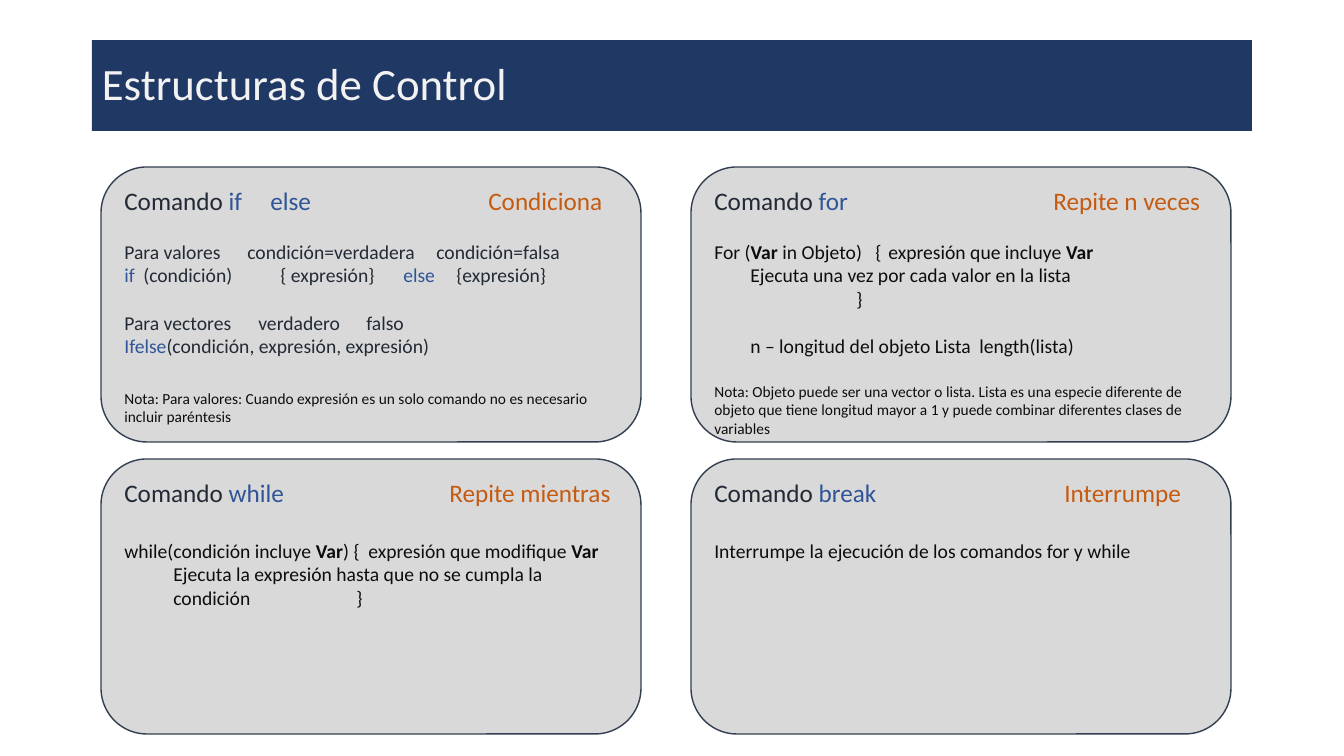
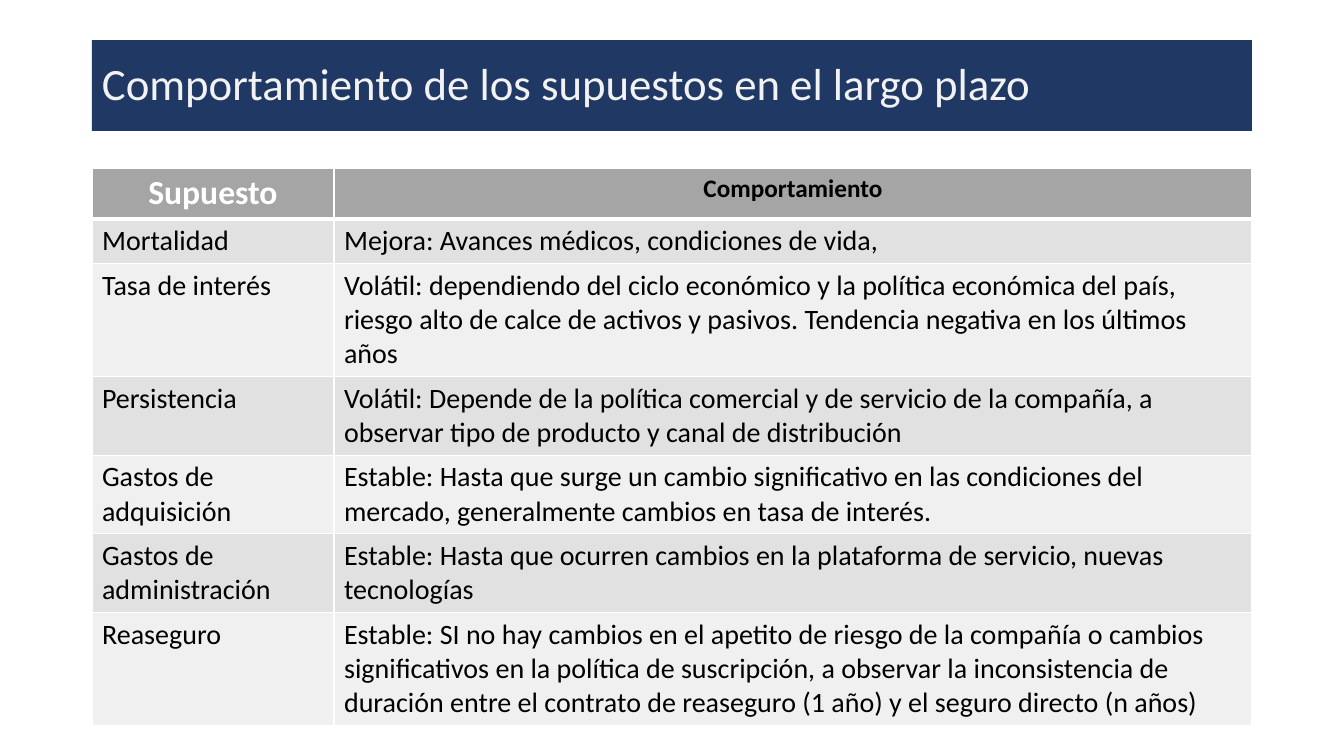
from pptx import Presentation
from pptx.dml.color import RGBColor as RGB
from pptx.enum.shapes import MSO_SHAPE as SHAPE
from pptx.enum.text import MSO_ANCHOR as ANCHOR, PP_ALIGN as ALIGN
from pptx.oxml.ns import qn
from pptx.util import Emu, Pt
from lxml.etree import SubElement

PX = 914400 / 100.8
FONT = "Calibri"
COLORS = {
    "navy": "203864", "title": "F2F2F2", "card": "D9D9D9", "outline": "333F50",
    "slate": "222A35", "blue": "2F5597", "orange": "C55A11", "ink": "0D0D0D",
    "white": "FFFFFF", "black": "000000", "header": "A5A5A5",
    "band": "E1E1E1", "pale": "F0F0F0",
}
GAP_14, GAP_18 = 24, 31


def px(n):
    return Emu(round(n * PX))


def rgb(name):
    return RGB.from_string(COLORS[name])


class Deck:
    def __init__(self):
        self.prs = Presentation()
        self.prs.slide_width, self.prs.slide_height = px(1344), px(756)
        self.s = None

    def slide(self, title):
        self.s = self.prs.slides.add_slide(self.prs.slide_layouts[6])
        tf = self.shape(SHAPE.RECTANGLE, 92, 40, 1160, 91, "navy").text_frame
        tf.vertical_anchor = ANCHOR.MIDDLE
        p = tf.paragraphs[0]
        p.line_spacing = 0.9
        self.fill_text(p, [title], 32, "title")

    def shape(self, kind, x, y, w, h, fill, line=None):
        sp = self.s.shapes.add_shape(kind, px(x), px(y), px(w), px(h))
        sp.shadow.inherit = False
        sp.fill.solid()
        sp.fill.fore_color.rgb = rgb(fill)
        if line:
            sp.line.color.rgb = rgb(line)
            sp.line.width = Pt(1)
        else:
            sp.line.fill.background()
        sp.text_frame.word_wrap = True
        return sp

    def fill_text(self, p, runs, size, color, bold=False, align=ALIGN.LEFT, gap=0, tabs=()):
        p.alignment = align
        p.space_before = px(gap)
        if tabs:
            tab_list = SubElement(p._p.get_or_add_pPr(), qn("a:tabLst"))
            for pos in tabs:
                SubElement(tab_list, qn("a:tab"), pos=str(px(pos)), algn="l")
        p.font.name, p.font.size, p.font.bold = FONT, Pt(size), bold
        p.font.color.rgb = rgb(color)
        for item in runs:
            text, look = (item, None) if isinstance(item, str) else item
            r = p.add_run()
            r.text = text
            if look == "bold":
                r.font.bold = True
            elif look:
                r.font.color.rgb = rgb(look)

    def card(self, x, y, command, action, tabs, lines):
        sp = self.shape(SHAPE.ROUNDED_RECTANGLE, x, y, 540, 275, "card", "outline")
        tf = sp.text_frame
        tf.vertical_anchor = ANCHOR.TOP
        heading = ["Comando ", (command + "\t", "blue"), (action, "orange")]
        self.fill_text(tf.paragraphs[0], heading, 18, "slate", tabs=tabs)
        for runs, size, color, gap, stops in lines:
            self.fill_text(tf.add_paragraph(), runs, size, color, gap=gap, tabs=stops)

    def cell(self, cell, text, size, color, fill, bold=False, align=ALIGN.LEFT, bottom=1):
        self.fill_text(cell.text_frame.paragraphs[0], [text], size, color, bold, align)
        tc_pr = cell._tc.get_or_add_tcPr()
        for side, width in zip("LRTB", (1, 1, 1, bottom)):
            ln = SubElement(tc_pr, qn(f"a:ln{side}"), w=str(Pt(width)))
            solid = SubElement(ln, qn("a:solidFill"))
            SubElement(solid, qn("a:srgbClr"), val=COLORS["white"])
        cell.fill.solid()
        cell.fill.fore_color.rgb = rgb(fill)

    def table(self, x, y, widths, headers, rows):
        heights = [50] + [10 + 34 * lines for lines, *_ in rows]
        frame = self.s.shapes.add_table(len(heights), len(widths), px(x), px(y),
                                        px(sum(widths)), px(sum(heights)))
        table = frame.table
        table.horz_banding = False
        for column, width in zip(table.columns, widths):
            column.width = px(width)
        for row, height in zip(table.rows, heights):
            row.height = px(height)
        for j, (text, size, color) in enumerate(headers):
            self.cell(table.cell(0, j), text, size, color, "header", True, ALIGN.CENTER, 3)
        for i, (_, *texts) in enumerate(rows, 1):
            fill = "band" if i % 2 else "pale"
            for j, text in enumerate(texts):
                self.cell(table.cell(i, j), text, 20, "black", fill)


CARDS = [
    ("if\telse", "Condiciona", (146, 364), [
        (["Para valores\tcondición=verdadera\tcondición=falsa"],
         14, "slate", GAP_14, (123, 312)),
        ([("if", "blue"), "\t(condición)\t{ expresión}\t", ("else", "blue"), "\t{expresión}"],
         14, "slate", 0, (19, 156, 279, 332)),
        (["Para vectores\tverdadero\tfalso"], 14, "slate", GAP_14, (134, 242)),
        ([("Ifelse", "blue"), "(condición, expresión, expresión)"], 14, "slate", 0, ()),
        (["Nota: Para valores: Cuando expresión es un solo comando no es necesario "
          "incluir paréntesis"], 11, "ink", GAP_18, ()),
    ]),
    ("for", "Repite n veces", (339,), [
        (["For (", ("Var", "bold"), " in Objeto)\t{\texpresión que incluye ", ("Var", "bold")],
         14, "ink", GAP_14, (161, 174)),
        (["\tEjecuta una vez por cada valor en la lista"], 14, "ink", 0, (36,)),
        (["\t}"], 14, "ink", 0, (142,)),
        (["\tn – longitud del objeto Lista\tlength(lista)"], 14, "ink", GAP_14, (36, 265)),
        (["Nota: Objeto puede ser una vector o lista. Lista es una especie diferente de "
          "objeto que tiene longitud mayor a 1 y puede combinar diferentes clases de "
          "variables"], 11, "ink", GAP_14, ()),
    ]),
    ("while", "Repite mientras", (325,), [
        (["while(condición incluye ", ("Var", "bold"), ") {\texpresión que modifique ",
          ("Var", "bold")], 14, "ink", GAP_18, (244,)),
        (["\tEjecuta la expresión hasta que no se cumpla la"], 14, "ink", 0, (49,)),
        (["\tcondición\t}"], 14, "ink", 0, (49, 232)),
    ]),
    ("break", "Interrumpe", (350,), [
        (["Interrumpe la ejecución de los comandos for y while"], 14, "ink", GAP_18, ()),
    ]),
]

HEADERS = [("Supuesto", 24, "white"), ("Comportamiento", 18, "black")]
ASSUMPTIONS = [
    (1, "Mortalidad", "Mejora: Avances médicos, condiciones de vida,"),
    (3, "Tasa de interés",
     "Volátil: dependiendo del ciclo económico y la política económica del país, riesgo "
     "alto de calce de activos y pasivos. Tendencia negativa en los últimos años"),
    (2, "Persistencia",
     "Volátil: Depende de la política comercial y de servicio de la compañía, a observar "
     "tipo de producto y canal de distribución"),
    (2, "Gastos de adquisición",
     "Estable: Hasta que surge un cambio significativo en las condiciones del mercado, "
     "generalmente cambios en tasa de interés."),
    (2, "Gastos de administración",
     "Estable: Hasta que ocurren cambios en la plataforma de servicio, nuevas tecnologías"),
    (3, "Reaseguro",
     "Estable: SI no hay cambios en el apetito de riesgo de la compañía o cambios "
     "significativos en la política de suscripción, a observar la inconsistencia de "
     "duración entre el contrato de reaseguro (1 año) y el seguro directo (n años)"),
]


def main():
    deck = Deck()
    deck.slide("Estructuras de Control")
    for i, card in enumerate(CARDS):
        row, col = divmod(i, 2)
        deck.card(101 + 590 * col, 167 + 292 * row, *card)
    deck.slide("Comportamiento de los supuestos en el largo plazo")
    deck.table(92, 168, (242, 918), HEADERS, ASSUMPTIONS)
    deck.prs.save("out.pptx")


if __name__ == "__main__":
    main()
